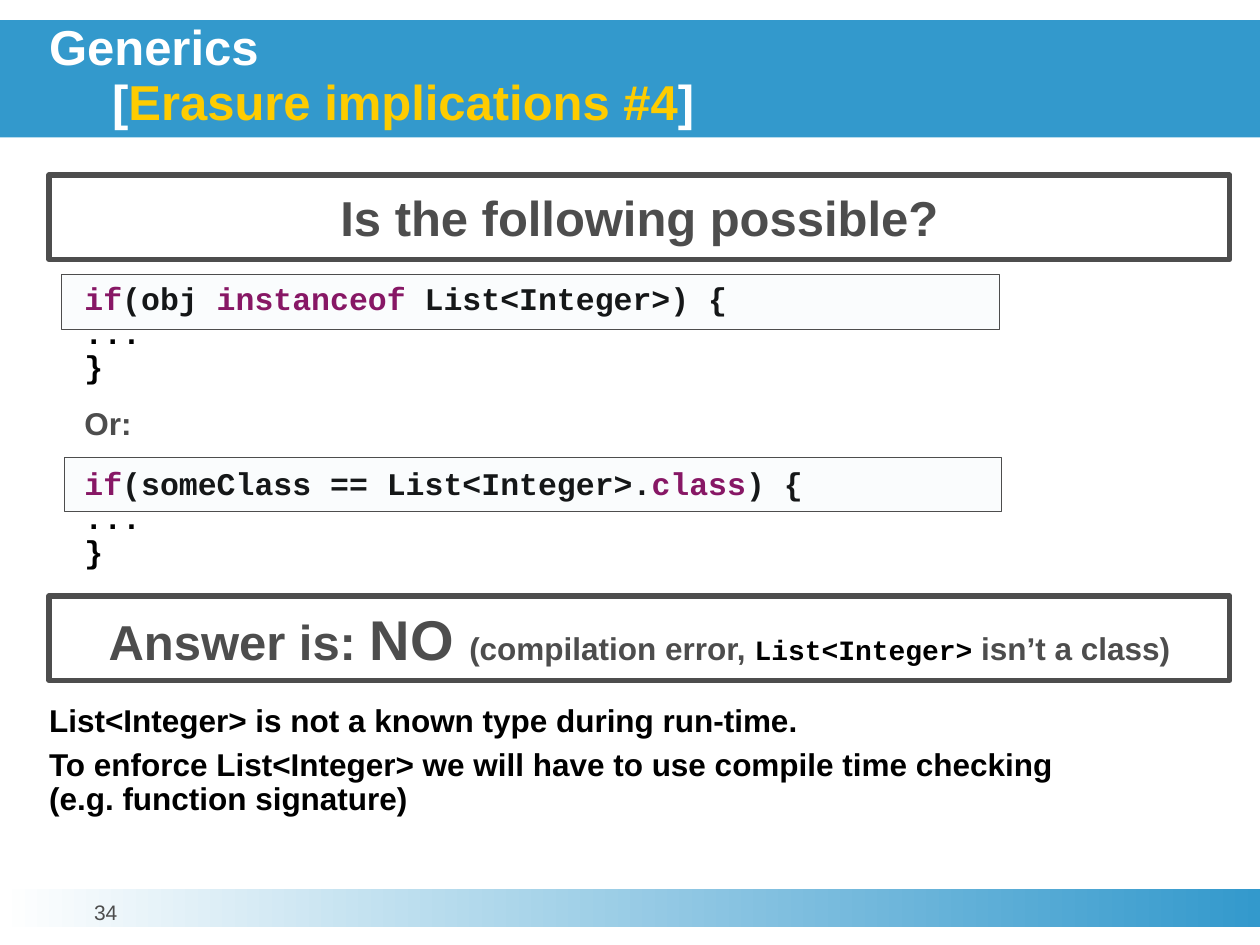
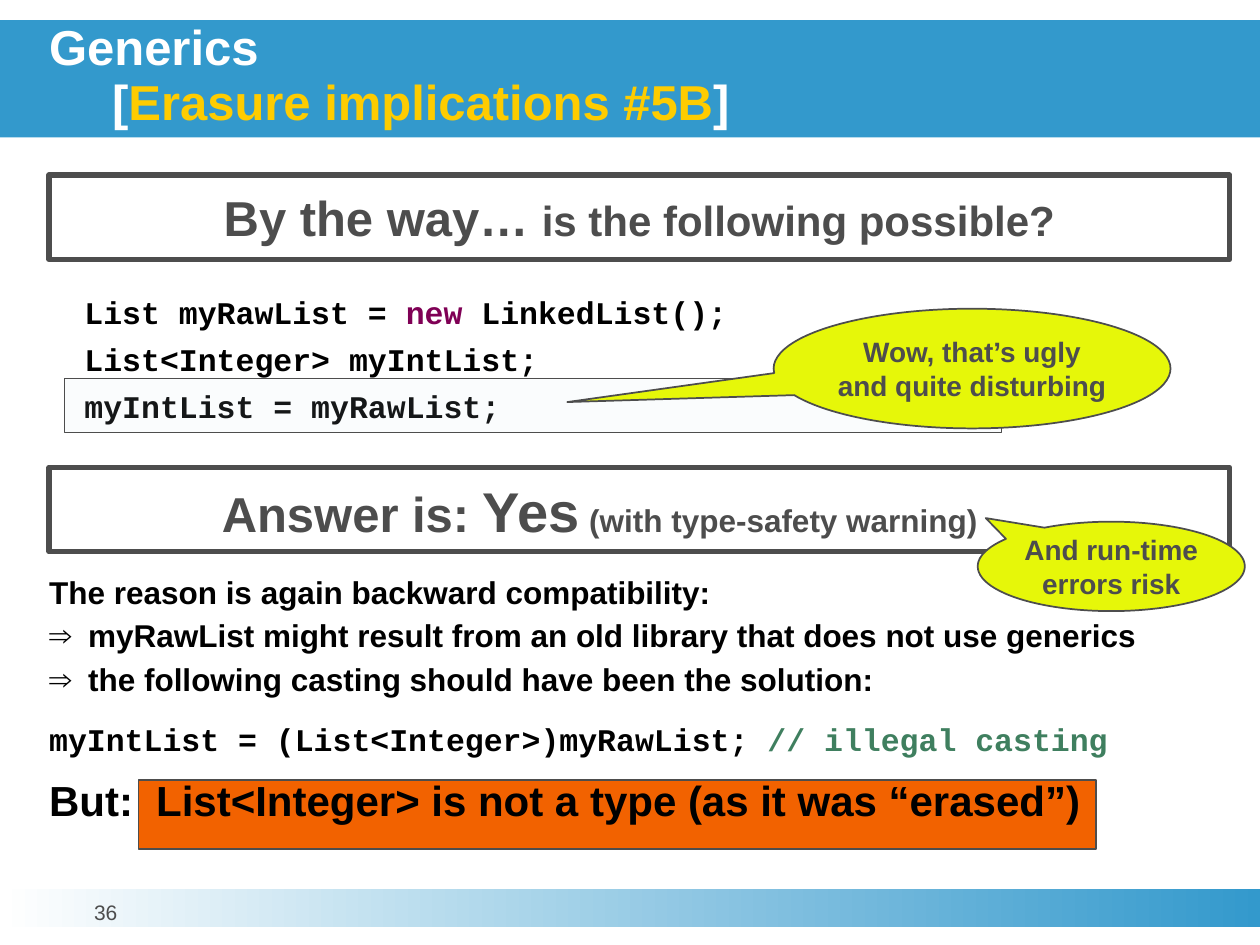
from copy import deepcopy
from dataclasses import dataclass

from lxml.etree import SubElement
from pptx import Presentation
from pptx.dml.color import RGBColor
from pptx.enum.shapes import MSO_SHAPE
from pptx.enum.text import MSO_ANCHOR, MSO_AUTO_SIZE, PP_ALIGN
from pptx.oxml.ns import qn
from pptx.util import Inches, Pt

# Shared look
BLUE, WHITE, GOLD = "3399CC", "FFFFFF", "FECC00"
GRAY, BLACK, KEYWORD, COMMENT = "4D4D4D", "000000", "7F0055", "3F7F5F"
PALE, ORANGE, YELLOW = "D4E9F4", "F26200", "E6F709"
SANS, MONO = "Arial", "Courier New"
LEFT, WIDTH = 0.39, 9.37
CODE_LEFT, CODE_TOP, CODE_WIDTH = 0.67, 2.25, 8.62


@dataclass(frozen=True)
class Span:
    text: str
    size: float = 18
    color: str = BLACK
    font: str = SANS
    bold: bool = True


@dataclass(frozen=True)
class Line:
    spans: tuple
    spacing: float = 0.9
    before: float = 0
    align: PP_ALIGN = PP_ALIGN.LEFT
    bullet: str = ""
    tab: float = 0


@dataclass(frozen=True)
class Callout:
    left: float
    top: float
    width: float
    height: float
    tip: tuple
    text: str


def rgb(color: str) -> RGBColor:
    return RGBColor.from_string(color)


def code(text: str, color: str = BLACK, size: float = 18) -> Span:
    return Span(text, size, color, MONO)


def gray(text: str, size: float) -> Span:
    return Span(text, size, GRAY)


# Text
def add_text(para, text: str, *, size: float, color: str, font: str, bold: bool) -> None:
    """Add formatted text; a newline becomes a line break."""
    for index, part in enumerate(text.split("\n")):
        if index:
            para.add_line_break()
            para._p[-1].append(deepcopy(run._r.rPr))
        if part:
            run = para.add_run()
            run.text = part
            run.font.size, run.font.bold, run.font.name = Pt(size), bold, font
            run.font.color.rgb = rgb(color)


def fill_frame(frame, lines: list, anchor=MSO_ANCHOR.TOP, right: float = 0) -> None:
    frame.word_wrap = True
    frame.auto_size = MSO_AUTO_SIZE.NONE
    frame.vertical_anchor = anchor
    frame.margin_left = frame.margin_top = frame.margin_bottom = 0
    frame.margin_right = Inches(right)
    for index, line in enumerate(lines):
        para = frame.add_paragraph() if index else frame.paragraphs[0]
        para.alignment, para.line_spacing = line.align, line.spacing
        para.space_before = Pt(line.before)
        properties = para._p.get_or_add_pPr()
        if line.bullet:
            properties.set("marL", str(Inches(0.31)))
            properties.set("indent", str(-Inches(0.31)))
            SubElement(properties, qn("a:buFont"), typeface=SANS)
            SubElement(properties, qn("a:buChar"), char=line.bullet)
        if line.tab:
            stops = SubElement(properties, qn("a:tabLst"))
            SubElement(stops, qn("a:tab"), pos=str(Inches(line.tab)), algn="l")
        for span in line.spans:
            add_text(para, span.text, size=span.size, color=span.color,
                     font=span.font, bold=span.bold)


def add_box(slide, left: float, top: float, width: float, height: float, lines: list) -> None:
    box = slide.shapes.add_textbox(Inches(left), Inches(top), Inches(width), Inches(height))
    fill_frame(box.text_frame, lines)


# Shapes
def add_block(slide, left: float, top: float, width: float, height: float, *,
              kind=MSO_SHAPE.RECTANGLE, fill: str = "", line: float = 0):
    shape = slide.shapes.add_shape(
        kind, Inches(left), Inches(top), Inches(width), Inches(height))
    shape.shadow.inherit = False
    if fill:
        shape.fill.solid()
        shape.fill.fore_color.rgb = rgb(fill)
    else:
        shape.fill.background()
    if line:
        shape.line.color.rgb = rgb(GRAY)
        shape.line.width = Pt(line)
    else:
        shape.line.fill.background()
    return shape


def add_banner(slide, top: float, *spans: Span, right: float = 0) -> None:
    banner = add_block(slide, LEFT, top, WIDTH, 0.67, line=3)
    fill_frame(banner.text_frame, [Line(spans, 1.0, align=PP_ALIGN.CENTER)],
               MSO_ANCHOR.MIDDLE, right)


def add_highlight(slide, left: float, top: float) -> None:
    shape = add_block(slide, left, top, 7.44, 0.43, fill=PALE, line=0.25)
    color = shape.fill._xPr.find(qn("a:solidFill"))[0]
    SubElement(color, qn("a:alpha"), val="10000")


def add_callout(slide, callout: Callout) -> None:
    shape = add_block(slide, callout.left, callout.top, callout.width, callout.height,
                      kind=MSO_SHAPE.OVAL_CALLOUT, fill=YELLOW, line=1)
    shape.adjustments[0], shape.adjustments[1] = callout.tip
    fill_frame(shape.text_frame,
               [Line((gray(callout.text, 16),), 1.0, align=PP_ALIGN.CENTER)],
               MSO_ANCHOR.MIDDLE)


# Title band, footer band and page number
def start_slide(deck, topic: str, number: int):
    slide = deck.slides.add_slide(deck.slide_layouts[5])
    title = slide.shapes.title
    title.left, title.top = Inches(0), Inches(0.16)
    title.width, title.height = Inches(10), Inches(0.93)
    title.fill.solid()
    title.fill.fore_color.rgb = rgb(BLUE)
    spans = (Span("Generics\n", 28, WHITE), Span("\t", 32, WHITE, bold=False),
             Span("[", 28, WHITE), Span(topic, 28, GOLD), Span("]", 28, WHITE))
    fill_frame(title.text_frame, [Line(spans, 0.85)], MSO_ANCHOR.MIDDLE)
    properties = title.text_frame.paragraphs[0]._p.get_or_add_pPr()
    properties.set("marL", str(Inches(LEFT)))
    properties.set("indent", "0")

    band = add_block(slide, 0, 7.06, 10, 0.3)
    band.fill.gradient()
    band.fill.gradient_angle = 0
    for stop, color, position in zip(band.fill.gradient_stops, (WHITE, BLUE), (0, 1)):
        stop.color.rgb = rgb(color)
        stop.position = position
    page = Span(str(number), 12, GRAY, bold=False)
    add_box(slide, 0.31, 7.16, 1.06, 0.31,
            [Line((page,), Pt(13), align=PP_ALIGN.CENTER)])
    return slide


def build_type_test_slide(deck) -> None:
    slide = start_slide(deck, "Erasure implications #4", 34)
    block_end = [Line((code("..."),)), Line((code("}"),))]
    add_box(slide, CODE_LEFT, CODE_TOP, CODE_WIDTH, 2.29, [
        Line((code("if", KEYWORD), code("(obj "), code("instanceof", KEYWORD),
              code(" List<Integer>) {"))),
        *block_end,
        Line((gray("Or:", 18),), before=13),
        Line((code("if", KEYWORD), code("(someClass == List<Integer>."),
              code("class", KEYWORD), code(") {")), before=15),
        *block_end,
    ])
    add_banner(slide, 1.39, gray("Is the following possible?", 28))
    add_banner(slide, 4.73, gray("Answer is: ", 28), gray("NO ", 32),
               gray("(compilation error, ", 18), code("List<Integer>", size=16),
               gray(" isn’t a class)", 18))
    add_box(slide, LEFT, 5.6, WIDTH, 1.26, [
        Line((Span("List<Integer> is not a known type during run-time."),)),
        Line((Span("To enforce List<Integer> we will have to use compile time checking\n"
                   "(e.g. function signature)"),), before=5.4),
    ])
    add_highlight(slide, 0.51, 3.63)
    add_highlight(slide, 0.49, 2.18)


def build_raw_list_slide(deck) -> None:
    slide = start_slide(deck, "Erasure implications #5B", 36)
    add_block(slide, 1.1, 6.19, 7.6, 0.55, fill=ORANGE, line=1)
    add_box(slide, CODE_LEFT, CODE_TOP, CODE_WIDTH, 1.12, [
        Line((code("List myRawList = "), code("new", KEYWORD),
              code(" LinkedList();")), 1.25),
        Line((code("List<Integer> myIntList;"),), 1.25),
        Line((code("myIntList = myRawList;"),), 1.25),
    ])
    add_banner(slide, 1.39, gray("By the way… ", 28),
               gray("is the following possible?", 24))
    add_banner(slide, 3.71, gray("Answer is: ", 28), gray("Yes", 32), gray(" ", 20),
               gray("(with type-safety warning)", 18), right=0.63)
    reasons = ("myRawList might result from an old library that does not use generics",
               "the following casting should have been the solution:")
    add_box(slide, LEFT, 4.58, WIDTH, 2.05, [
        Line((Span("The reason is again backward compatibility:"),)),
        *[Line((Span(reason),), before=5.4, bullet="⇒") for reason in reasons],
        Line((code("myIntList = (List<Integer>)myRawList; "),
              code("// illegal casting", COMMENT)), 0.75, 17.5),
        Line((Span("But:\tList<Integer> is not a type (as it was “erased”)", 24),),
             0.75, 16.5, tab=0.85),
    ])
    add_highlight(slide, 0.51, 3)
    for callout in (
        Callout(6.14, 2.45, 3.15, 0.95, (-1.02, 0.28),
                "Wow, that’s ugly\nand quite disturbing"),
        Callout(7.76, 4.14, 2.12, 0.71, (-0.47, -0.54), "And run-time errors risk"),
    ):
        add_callout(slide, callout)


def main() -> None:
    deck = Presentation()
    deck.slide_width, deck.slide_height = Inches(10), Inches(7.5)
    build_type_test_slide(deck)
    build_raw_list_slide(deck)
    deck.save("out.pptx")


if __name__ == "__main__":
    main()
